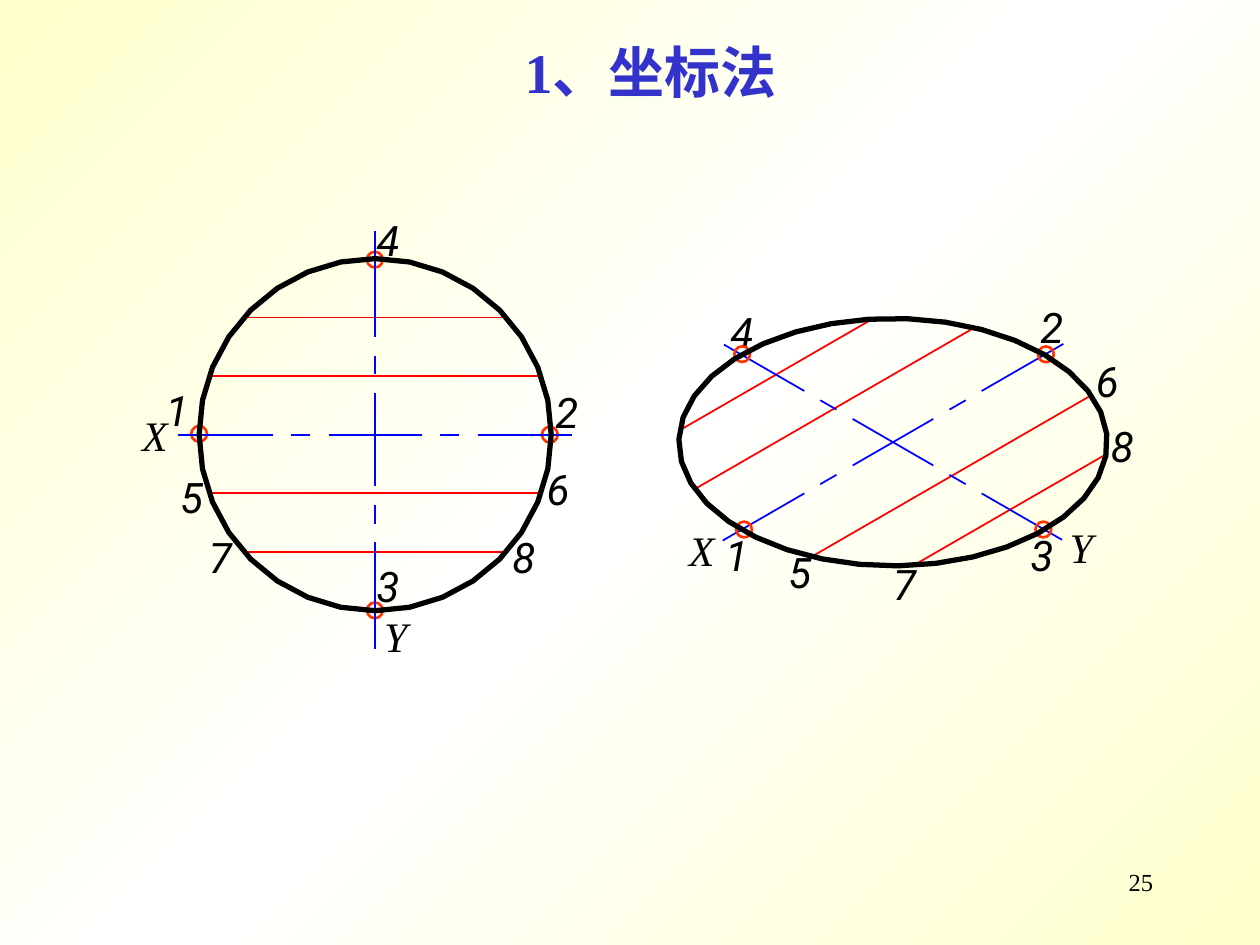
from copy import deepcopy
from math import cos, pi, radians, sin

from pptx import Presentation
from pptx.dml.color import RGBColor
from pptx.enum import shapes, text
from pptx.oxml.ns import qn
from pptx.oxml.xmlchemy import OxmlElement
from pptx.util import Pt

COLORS = {"edge": "FFFFCC", "middle": "FFFFFF", "title": "3333CC", "ink": "000000",
          "chord": "FF0000", "axis": "0000FF", "marker": "FF3300"}
SERIF, SANS = "Times New Roman", "Roboto"

TITLE = ("1、坐标法", 221.8, 18, 300.2, 46, SERIF, 32)
PAGE_NUMBER = ("25", 516.2, 491.8, 149.8, 36, SERIF, 14)

# centre x, centre y, half length, angle
AXES = [(510.3, 252.7, 111.5, 30), (510.3, 252.7, 112.4, -30),
        (214.4, 251.3, 119.5, 90), (214.4, 248.4, 112.4, 0)]
# centre, chord angle, direction of offset, (offset, half length)
CHORDS = [((510.3, 252.7), -30, 30, [(77.2, 63.3), (38.6, 92.3)]),
          ((214.4, 248.4), 0, 90, [(67, 74.7), (33.5, 94.7)])]
# centre x, centre y, radius x, radius y, sides, start angle
OUTLINES = [(214.4, 248.4, 100.6, 100.6, 32, 0),
            (510.3, 252.7, 122.4, 70.7, 35, 45)]
MARKERS = [(314.2, 248.4), (214.2, 348.8), (113.8, 247.9), (214.2, 148.4),
           (424.1, 202.4), (597.7, 202.5), (596.2, 302.6), (425.2, 302.6)]
LABELS = [("7", 503.3, 315.4), ("5", 443.5, 308.9), ("6", 619.2, 199.4),
          ("8", 627.8, 236.9), ("5", 95.8, 265.7), ("7", 112.3, 300.2),
          ("8", 285.8, 300.2), ("6", 305.3, 261.4), ("X", 386.6, 295.9),
          ("Y", 604.1, 294.5), ("X", 74.2, 230.4), ("Y", 212.4, 345.6),
          ("1", 87.8, 216), ("2", 310.3, 217.4), ("3", 208.1, 316.8),
          ("4", 208.1, 118.8), ("1", 407.5, 298.8), ("4", 410.4, 171.4),
          ("3", 581.8, 298.8), ("2", 587.5, 168.5)]


def rgb(name):
    return RGBColor.from_string(COLORS[name])


def paint_background(s):
    fill = s.background.fill
    fill.gradient()
    fill.gradient_angle = 315
    stop_list = s.element.find(".//" + qn("a:gsLst"))
    stop_list.insert(1, deepcopy(stop_list[0]))
    for stop, position, name in zip(fill.gradient_stops, (0, 0.5, 1),
                                    ("edge", "middle", "edge")):
        stop.position = position
        stop.color.rgb = rgb(name)


def add_text(s, words, x, y, w, h, font, size, color="ink", align="LEFT",
             bold=False, italic=False):
    tf = s.shapes.add_textbox(Pt(x), Pt(y), Pt(w), Pt(h)).text_frame
    tf.word_wrap = True
    tf.text = words
    p = tf.paragraphs[0]
    p.alignment = getattr(text.PP_ALIGN, align)
    f = p.runs[0].font
    f.name, f.size, f.bold, f.italic = font, Pt(size), bold, italic
    f.color.rgb = rgb(color)


def add_line(s, cx, cy, angle, start, end, color):
    dx, dy = cos(radians(angle)), sin(radians(angle))
    ends = [Pt(v) for d in (start, end) for v in (cx + d * dx, cy + d * dy)]
    sp = s.shapes.add_connector(shapes.MSO_CONNECTOR.STRAIGHT, *ends)
    sp.line.width = Pt(1)
    sp.line.color.rgb = rgb(color)
    sp.element.spPr.append(OxmlElement("a:effectLst"))


def add_axis(s, cx, cy, half, angle):
    for start, end in [(-half, -58.5), (-48, -37.3), (-26.6, 26.6),
                       (37.3, 48), (58.5, half)]:
        add_line(s, cx, cy, angle, start, end, "axis")


def style_outline(sp, color, width):
    sp.shadow.inherit = False
    sp.fill.background()
    sp.line.color.rgb = rgb(color)
    sp.line.width = Pt(width)


def add_outline(s, cx, cy, rx, ry, sides, start):
    angles = [radians(start) + 2 * pi * i / sides for i in range(sides)]
    points = [(Pt(cx + rx * cos(a)), Pt(cy - ry * sin(a))) for a in angles]
    builder = s.shapes.build_freeform(*points[0])
    builder.add_line_segments(points[1:], close=True)
    style_outline(builder.convert_to_shape(), "ink", 3)


def main():
    prs = Presentation()
    prs.slide_width, prs.slide_height = Pt(720), Pt(540)
    s = prs.slides.add_slide(prs.slide_layouts[6])
    paint_background(s)
    add_text(s, *PAGE_NUMBER, align="RIGHT")
    for (cx, cy), angle, across, chords in CHORDS:
        for offset, half in chords:
            for d in (-offset, offset):
                add_line(s, cx + d * cos(radians(across)), cy + d * sin(radians(across)),
                         angle, -half, half, "chord")
    for axis in AXES[:2]:
        add_axis(s, *axis)
    for words, x, y in LABELS:
        add_text(s, words, x, y, 36, 36, SERIF if words in "XY" else SANS, 24, italic=True)
    for x, y in MARKERS:
        sp = s.shapes.add_shape(shapes.MSO_SHAPE.OVAL, Pt(x - 4.5), Pt(y - 4.5), Pt(9), Pt(9))
        style_outline(sp, "marker", 1.5)
    for axis in AXES[2:]:
        add_axis(s, *axis)
    for outline in OUTLINES:
        add_outline(s, *outline)
    add_text(s, *TITLE, color="title", align="CENTER", bold=True)
    prs.save("out.pptx")


if __name__ == "__main__":
    main()
